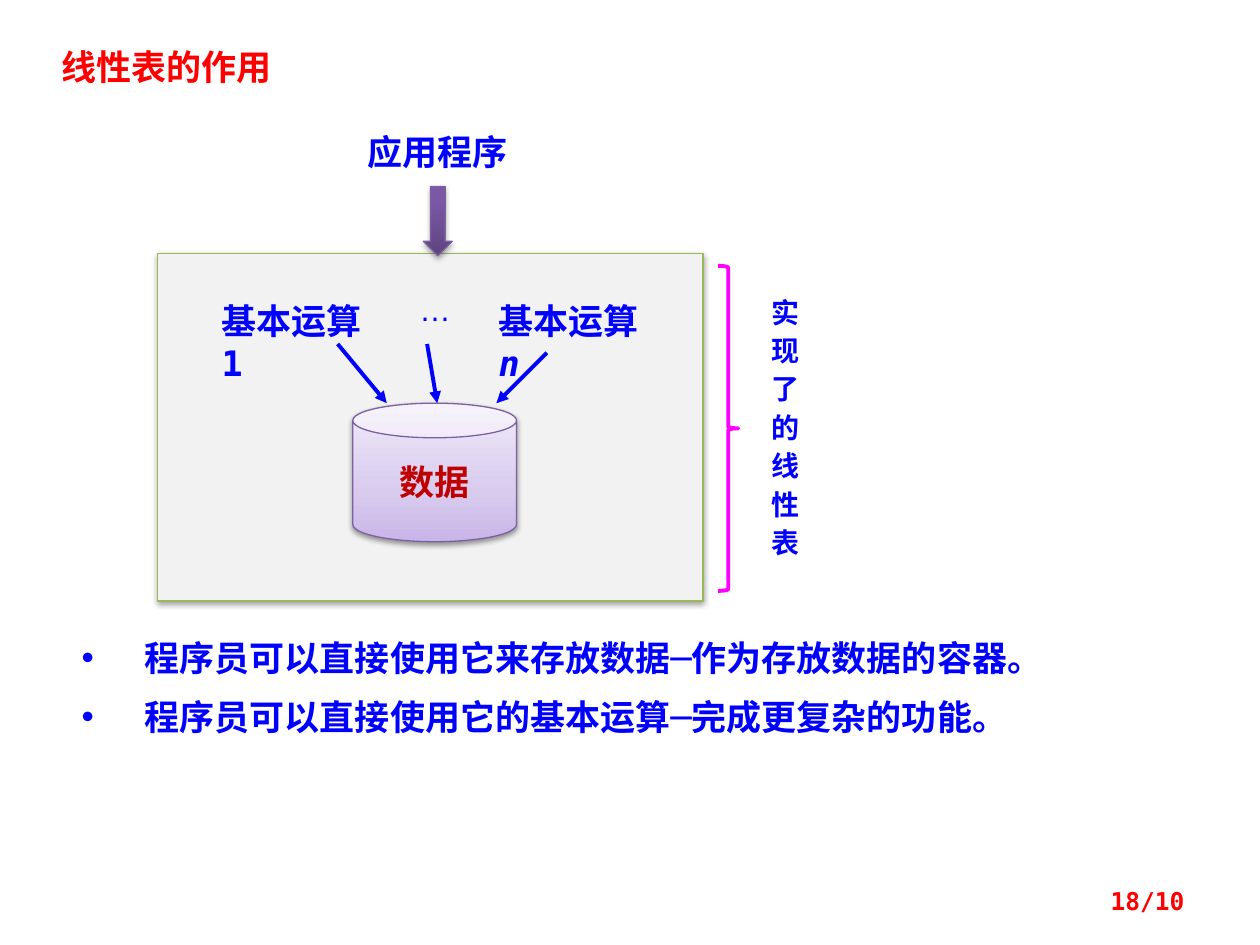
from dataclasses import dataclass
from typing import NamedTuple, Optional

from pptx import Presentation
from pptx import util as u
from pptx.dml.color import RGBColor
from pptx.enum import shapes, text
from pptx.oxml import parse_xml
from pptx.oxml.ns import nsdecls, qn

I = u.Inches


@dataclass(frozen=True)
class Theme:
    mono: str = "DejaVu Sans Mono"
    sans: str = "Noto Sans CJK SC"
    plain: str = "Arial"
    blue: str = "0000FF"
    red: str = "FF0000"
    dark: str = "C00000"
    pink: str = "FF00FF"
    panel: str = "F2F2F2"
    green: str = "98B955"
    edge: str = "7D60A0"
    drum: tuple = ((0, "C9B5E8"), (35, "D8CBEE"), (100, "F0EAF9"))
    arrow: tuple = ((0, "5F4480"), (80, "7B58A6"), (100, "7C57A8"))
    big: int = 20
    mid: int = 18
    small: int = 16
    foot: int = 14
    thin: float = 0.75
    thick: float = 2.25


T = Theme()


class Box(NamedTuple):
    left: float
    top: float
    wide: float
    high: float

    def emu(self) -> list:
        return [I(v) for v in self]


class Run(NamedTuple):
    words: str
    size: int = T.big
    face: str = T.mono
    hue: str = T.blue
    bold: bool = True
    slant: bool = False
    gap: int = 0
    shade: bool = False


class Label(NamedTuple):
    box: Box
    paras: list
    align: Optional[text.PP_ALIGN] = None
    bullet: bool = False
    down: bool = False
    mid: bool = False


class Line(NamedTuple):
    x1: float
    y1: float
    x2: float
    y2: float


def shadow(alpha: int, blur: float, dist: float):
    return parse_xml(
        f'<a:effectLst {nsdecls("a")}><a:outerShdw blurRad="{u.Pt(blur)}" '
        f'dist="{u.Pt(dist)}" dir="5400000" rotWithShape="0">'
        f'<a:srgbClr val="000000"><a:alpha val="{alpha * 1000}"/></a:srgbClr>'
        '</a:outerShdw></a:effectLst>')


def add_run(para, run: Run) -> None:
    item = para.add_run()
    item.text = run.words
    font = item.font
    font.size, font.name = u.Pt(run.size), run.face
    font.bold, font.italic = run.bold, run.slant
    font.color.rgb = RGBColor.from_string(run.hue)
    props = item._r.get_or_add_rPr()
    latin = props.find(qn("a:latin"))
    latin.addnext(parse_xml(f'<a:ea {nsdecls("a")} typeface="{run.face}"/>'))
    if run.shade:
        latin.addprevious(shadow(43, 3, 3))
    if run.gap:
        props.set("spc", str(run.gap * 100))


def add_label(slide, label: Label) -> None:
    frame = slide.shapes.add_textbox(*label.box.emu()).text_frame
    frame.word_wrap = True
    if label.mid:
        frame.vertical_anchor = text.MSO_ANCHOR.MIDDLE
    if label.down:
        frame._txBody.bodyPr.set("vert", "eaVert")
    for n, runs in enumerate(label.paras):
        para = frame.add_paragraph() if n else frame.paragraphs[0]
        if label.bullet:
            props = para._p.get_or_add_pPr()
            props.set("marL", str(I(0.5)))
            props.set("indent", str(-I(0.5)))
            props.append(parse_xml(f'<a:buFont {nsdecls("a")} typeface="{T.plain}"/>'))
            props.append(parse_xml(f'<a:buChar {nsdecls("a")} char="•"/>'))
        if n:
            para.space_before = u.Pt(T.big / 2)
        para.alignment = label.align
        for run in runs:
            add_run(para, run)


def add_form(slide, kind, box: Box, edge: str, width: float,
             fill=None, cast: Optional[tuple] = None):
    form = slide.shapes.add_shape(kind, *box.emu())
    form.shadow.inherit = False
    form.line.color.rgb = RGBColor.from_string(edge)
    form.line.width = u.Pt(width)
    if fill is None:
        form.fill.background()
    elif isinstance(fill, str):
        form.fill.solid()
        form.fill.fore_color.rgb = RGBColor.from_string(fill)
    else:
        stops = "".join(f'<a:gs pos="{pos * 1000}"><a:srgbClr val="{hue}"/></a:gs>'
                        for pos, hue in fill)
        form._element.spPr.find(qn("a:prstGeom")).addnext(parse_xml(
            f'<a:gradFill {nsdecls("a")} rotWithShape="1"><a:gsLst>{stops}</a:gsLst>'
            '<a:lin ang="16200000" scaled="0"/></a:gradFill>'))
    if cast:
        props = form._element.spPr
        props.replace(props.find(qn("a:effectLst")), shadow(*cast))
    return form


def add_arrow(slide, line: Line) -> None:
    link = slide.shapes.add_connector(
        shapes.MSO_CONNECTOR.STRAIGHT, *[I(v) for v in line])
    link.line.color.rgb = RGBColor.from_string(T.blue)
    link.line.width = u.Pt(T.thick)
    link.line._get_or_add_ln().append(
        parse_xml(f'<a:tailEnd {nsdecls("a")} type="triangle"/>'))
    link._element.spPr.append(parse_xml(f'<a:effectLst {nsdecls("a")}/>'))


def main() -> None:
    deck = Presentation()
    deck.slide_width, deck.slide_height = I(10), I(7.5)
    slide = deck.slides.add_slide(deck.slide_layouts[6])
    kind = shapes.MSO_SHAPE

    # Panel and data store
    add_form(slide, kind.RECTANGLE, Box(1.25, 2.01, 4.33, 2.76),
             T.green, T.thin, T.panel, (38, 3.1, 1.6))
    drum = add_form(slide, kind.CAN, Box(2.8, 3.2, 1.3, 1.1),
                    T.edge, T.thin, T.drum, (38, 3.1, 1.6))
    frame = drum.text_frame
    frame.word_wrap = False
    frame.vertical_anchor = text.MSO_ANCHOR.MIDDLE
    frame.paragraphs[0].alignment = text.PP_ALIGN.CENTER
    add_run(frame.paragraphs[0], Run("数据", hue=T.dark))

    # Arrows from the operations to the data, and from the program
    for line in (Line(2.68, 2.73, 3.07, 3.2), Line(4.34, 2.8, 3.94, 3.2),
                 Line(3.39, 2.73, 3.47, 3.2)):
        add_arrow(slide, line)
    add_form(slide, kind.DOWN_ARROW, Box(3.36, 1.48, 0.23, 0.55),
             T.edge, T.thin, T.arrow, (35, 3.1, 1.8))

    # Brace around the whole list
    add_form(slide, kind.RIGHT_BRACE, Box(5.7, 2.11, 0.16, 2.58), T.pink, T.thick)

    # Title, labels, bullets and page number
    notes = ("程序员可以直接使用它来存放数据─作为存放数据的容器。",
             "程序员可以直接使用它的基本运算─完成更复杂的功能。")
    labels = (
        Label(Box(0.39, 0.31, 2.73, 0.44),
              [[Run("线性表的作用", face=T.sans, hue=T.red)]]),
        Label(Box(2.82, 0.99, 1.41, 0.44), [[Run("应用程序")]]),
        Label(Box(1.66, 2.33, 1.45, 0.43), [[Run("基本运算1")]]),
        Label(Box(3.86, 2.33, 1.45, 0.43),
              [[Run("基本运算"), Run("n", slant=True)]]),
        Label(Box(3.23, 2.25, 0.55, 0.4),
              [[Run("…", T.mid, T.plain, bold=False)]]),
        Label(Box(5.94, 2.27, 0.47, 2.34),
              [[Run("实现了的线性表", T.small, T.sans, gap=6)]],
              text.PP_ALIGN.CENTER, down=True),
        Label(Box(0.55, 5, 8.83, 0.94),
              [[Run(note, shade=True)] for note in notes], bullet=True),
        Label(Box(7.17, 6.95, 2.33, 0.4),
              [[Run("18/10", T.foot, hue=T.red)]], text.PP_ALIGN.RIGHT, mid=True),
    )
    for label in labels:
        add_label(slide, label)

    deck.save("out.pptx")


if __name__ == "__main__":
    main()
